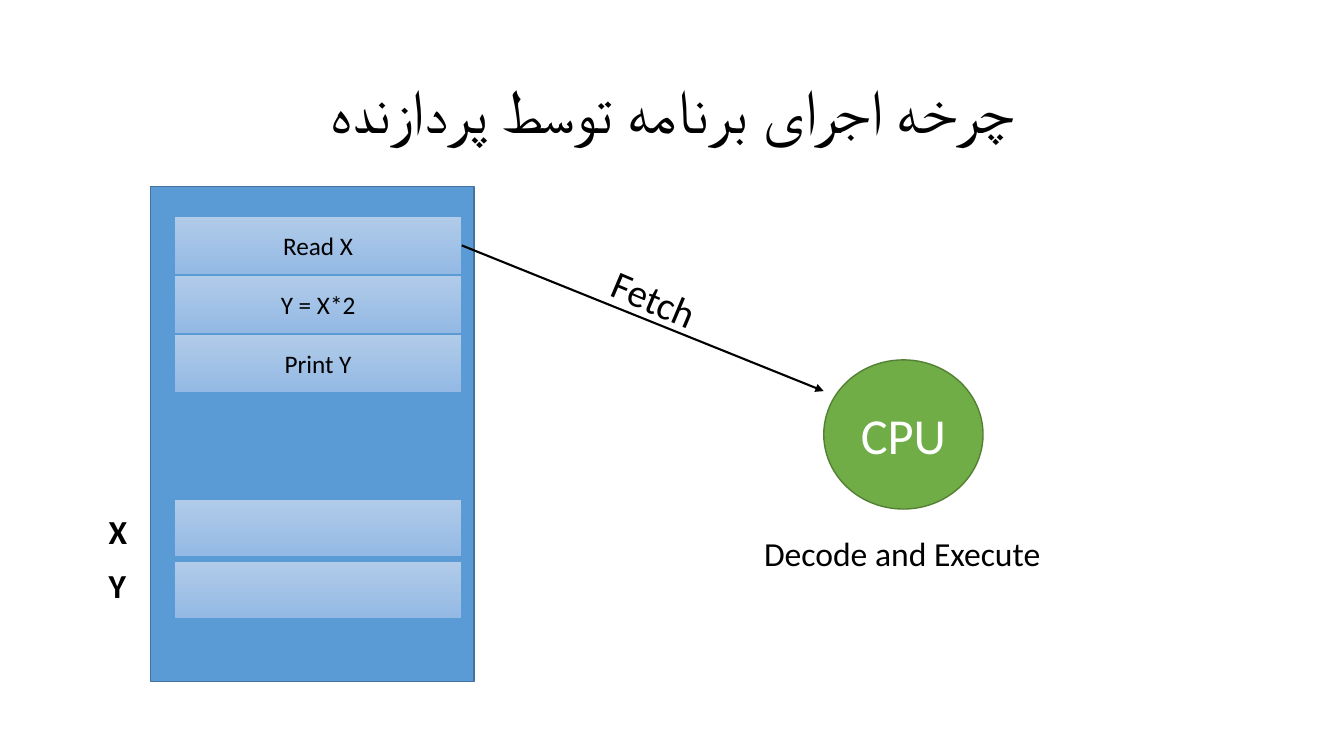
"""Build a slide showing how a processor fetches and runs a program from memory."""
from dataclasses import dataclass

from lxml.etree import SubElement
from pptx import Presentation
from pptx.dml.color import RGBColor
from pptx.enum.shapes import MSO_CONNECTOR as Link, MSO_SHAPE as Shape
from pptx.enum.text import MSO_ANCHOR as Anchor, MSO_AUTO_SIZE as Fit, PP_ALIGN as Align
from pptx.oxml.ns import qn
from pptx.util import Pt

TITLE = "چرخه اجرای برنامه توسط پردازنده"
INSTRUCTIONS = ["Read X", "Y = X*2", "Print Y"]
VARIABLES = ["X", "Y"]
PROCESSOR = "CPU"
FETCH = "Fetch"
EXECUTE = "Decode and Execute"

PX = 9144
PAGE = (1333, 750)
TITLE_BOX = (92, 40, 1150, 145)
MEMORY_BOX = (149, 185, 321, 491)
CPU_BOX = (817, 357, 158, 148)
FETCH_BOX = (596, 268, 107, 57)
EXECUTE_BOX = (748, 524, 297, 50)
ARROW_TIP = (817, 388)
CELL_LEFT, CELL_WIDTH, CELL_HEIGHT = 173, 285, 57
CODE_TOP, CODE_STEP = 215, 58.5
DATA_TOP, DATA_STEP = 495, 62
NAME_LEFT, NAME_TOP, NAME_STEP = 98, 502, 54
FETCH_TILT = 22.9


@dataclass(frozen=True)
class Theme:
    font: str = "Calibri"
    ink: str = "000000"
    paper: str = "FFFFFF"
    memory: str = "5B9BD5"
    memory_edge: str = "43739E"
    cpu: str = "70AD47"
    cpu_edge: str = "538035"
    cell: tuple = ("B1CBE9", "93B9E4")
    title: int = 44
    processor: int = 36
    fetch: int = 28
    label: int = 24
    code: int = 18


THEME = Theme()


def rgb(code):
    return RGBColor.from_string(code)


def emu(lengths):
    return [round(length * PX) for length in lengths]


def write(frame, text, size, color=THEME.ink, bold=False, align=Align.CENTER, rtl=False, spacing=None):
    para = frame.paragraphs[0]
    para.alignment = align
    if spacing:
        para.line_spacing = spacing
    if rtl:
        para._p.get_or_add_pPr().set("rtl", "1")
    span = para.add_run()
    span.text = text
    span.font.name = THEME.font
    span.font.size = Pt(size)
    span.font.bold = bold
    span.font.color.rgb = rgb(color)


def add_block(page, kind, place, fill, edge, weight):
    block = page.shapes.add_shape(kind, *emu(place))
    block.shadow.inherit = False
    if isinstance(fill, tuple):
        block.fill.gradient()
        block.fill.gradient_angle = 270
        for stop, color in zip(block.fill.gradient_stops, fill):
            stop.color.rgb = rgb(color)
    else:
        block.fill.solid()
        block.fill.fore_color.rgb = rgb(fill)
    block.line.color.rgb = rgb(edge)
    block.line.width = Pt(weight)
    block.text_frame.vertical_anchor = Anchor.MIDDLE
    return block


def add_cell(page, top):
    place = (CELL_LEFT, top, CELL_WIDTH, CELL_HEIGHT)
    return add_block(page, Shape.RECTANGLE, place, THEME.cell, THEME.memory, 0.5)


def add_label(page, place, text, size, tilt=0, **style):
    box = page.shapes.add_textbox(*emu(place))
    box.rotation = tilt
    box.text_frame.word_wrap = False
    box.text_frame.auto_size = Fit.SHAPE_TO_FIT_TEXT
    write(box.text_frame, text, size, align=Align.LEFT, **style)


def add_arrow(page, source, tip):
    arrow = page.shapes.add_connector(Link.STRAIGHT, 0, 0, *emu(tip))
    arrow.begin_connect(source, 3)
    arrow.line.color.rgb = rgb(THEME.ink)
    arrow.line.width = Pt(1.5)
    SubElement(arrow.line._get_or_add_ln(), qn("a:tailEnd"), type="triangle")
    SubElement(arrow._element.spPr, qn("a:effectLst"))


def main():
    deck = Presentation()
    deck.slide_width, deck.slide_height = emu(PAGE)
    page = deck.slides.add_slide(deck.slide_layouts[5])

    title = page.shapes.title
    title.left, title.top, title.width, title.height = emu(TITLE_BOX)
    title.text_frame.vertical_anchor = Anchor.MIDDLE
    write(title.text_frame, TITLE, THEME.title, rtl=True, spacing=0.9)

    add_block(page, Shape.RECTANGLE, MEMORY_BOX, THEME.memory, THEME.memory_edge, 1)
    cpu = add_block(page, Shape.OVAL, CPU_BOX, THEME.cpu, THEME.cpu_edge, 1)
    write(cpu.text_frame, PROCESSOR, THEME.processor, color=THEME.paper)

    cells = []
    for row, instruction in enumerate(INSTRUCTIONS):
        cell = add_cell(page, CODE_TOP + row * CODE_STEP)
        write(cell.text_frame, instruction, THEME.code)
        cells.append(cell)

    for row, name in enumerate(VARIABLES):
        add_cell(page, DATA_TOP + row * DATA_STEP)
        place = (NAME_LEFT, NAME_TOP + row * NAME_STEP, 39, 50)
        add_label(page, place, name, THEME.label, bold=True)

    add_arrow(page, cells[0], ARROW_TIP)
    add_label(page, FETCH_BOX, FETCH, THEME.fetch, tilt=FETCH_TILT)
    add_label(page, EXECUTE_BOX, EXECUTE, THEME.label)
    deck.save("out.pptx")


if __name__ == "__main__":
    main()
